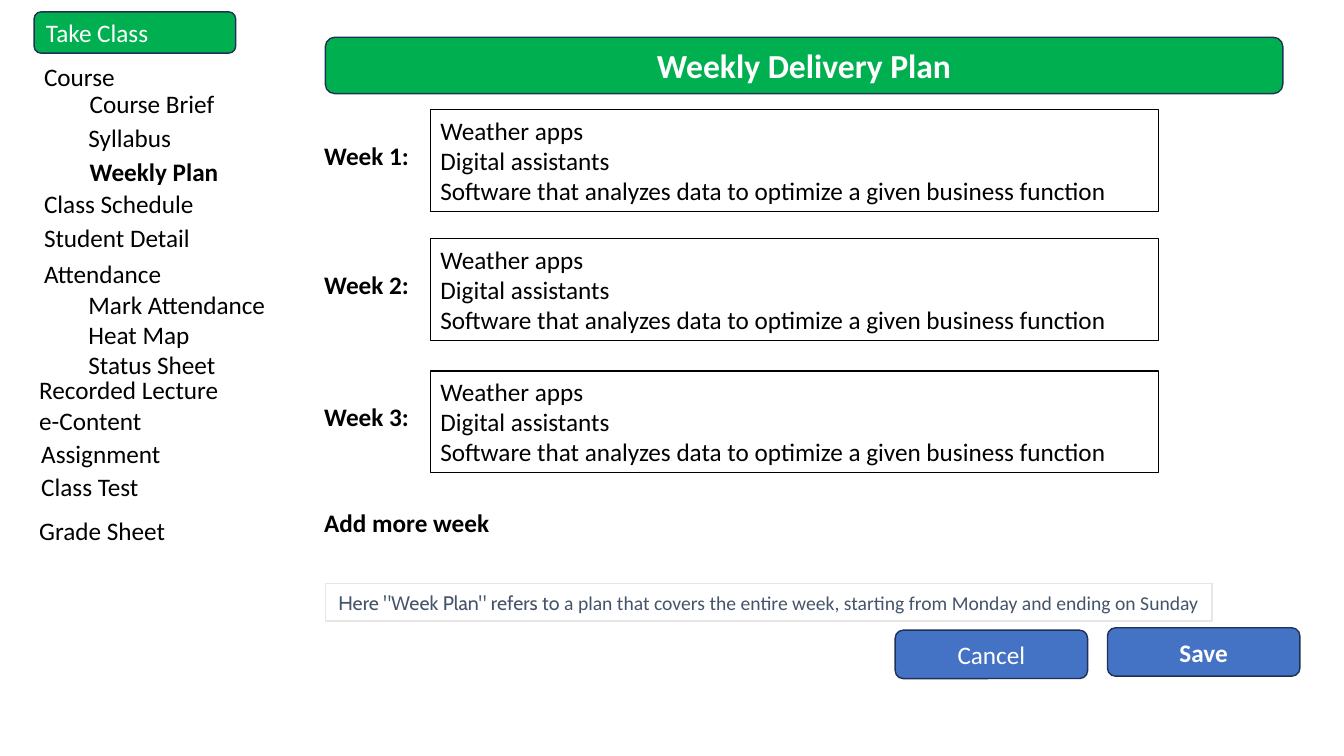
from dataclasses import dataclass

from pptx import Presentation
from pptx.dml.color import RGBColor
from pptx.enum.shapes import MSO_SHAPE
from pptx.enum.text import MSO_ANCHOR, MSO_AUTO_SIZE, PP_ALIGN
from pptx.util import Cm, Pt


@dataclass(frozen=True)
class Theme:
    font: str = "Calibri"
    note_font: str = "Cabin"
    black: str = "000000"
    white: str = "FFFFFF"
    green: str = "00B050"
    blue: str = "4472C4"
    navy: str = "1E3256"
    slate: str = "44546A"
    pale: str = "E7E6E6"
    title_size: int = 24
    body_size: int = 18
    note_size: int = 14


theme = Theme()
deck = Presentation()
deck.slide_width, deck.slide_height = Cm(33.87), Cm(19.05)
page = deck.slides.add_slide(deck.slide_layouts[6])


def write_text(box, text, size=theme.body_size, color=theme.black, bold=False,
               font=theme.font, align=PP_ALIGN.LEFT, anchor=MSO_ANCHOR.TOP, grow=True):
    """Write each line of text as a paragraph."""
    frame = box.text_frame
    frame.word_wrap = True
    frame.vertical_anchor = anchor
    frame.auto_size = MSO_AUTO_SIZE.SHAPE_TO_FIT_TEXT if grow else MSO_AUTO_SIZE.NONE
    frame.text = text
    for para in frame.paragraphs:
        para.alignment = align
        for span in para.runs:
            span.font.name = font
            span.font.size = Pt(size)
            span.font.bold = bold
            span.font.color.rgb = RGBColor.from_string(color)


def add_panel(kind, left, top, width, height, line, line_width=1, fill=None):
    panel = page.shapes.add_shape(kind, Cm(left), Cm(top), Cm(width), Cm(height))
    panel.shadow.inherit = False
    panel.line.color.rgb = RGBColor.from_string(line)
    panel.line.width = Pt(line_width)
    if fill:
        panel.fill.solid()
        panel.fill.fore_color.rgb = RGBColor.from_string(fill)
    else:
        panel.fill.background()
    return panel


# Weekly topics
topics = "\n".join([
    "Weather apps",
    "Digital assistants",
    "Software that analyzes data to optimize a given business function",
])
for week, top in enumerate([2.77, 6.02, 9.35], start=1):
    topic_box = add_panel(MSO_SHAPE.RECTANGLE, 10.85, top, 18.34, 2.57, theme.black, 0.75)
    write_text(topic_box, topics)
    week_label = page.shapes.add_textbox(Cm(7.92), Cm(top + 0.63), Cm(2.92), Cm(1.02))
    write_text(week_label, f"Week {week}:", bold=True)

add_week = page.shapes.add_textbox(Cm(7.92), Cm(12.65), Cm(6.83), Cm(1.02))
write_text(add_week, "Add more week", bold=True)

# Note with two fonts
note = add_panel(MSO_SHAPE.RECTANGLE, 8.2, 14.71, 22.35, 0.94, theme.pale)
write_text(note, 'Here "Week Plan" refers to ', size=theme.note_size, color=theme.slate,
           font=theme.note_font, align=PP_ALIGN.CENTER, anchor=MSO_ANCHOR.MIDDLE, grow=False)
span = note.text_frame.paragraphs[0].add_run()
span.text = "a plan that covers the entire week, starting from Monday and ending on Sunday"
span.font.name = theme.font
span.font.size = Pt(theme.note_size)
span.font.color.rgb = RGBColor.from_string(theme.slate)

# Title, menu heading and buttons
center, left_align = PP_ALIGN.CENTER, PP_ALIGN.LEFT
buttons = [
    ("Save", 27.91, 15.82, 4.85, 1.22, theme.blue, theme.body_size, True, center),
    ("Cancel", 22.56, 15.88, 4.85, 1.22, theme.blue, theme.body_size, False, center),
    ("Weekly Delivery Plan", 8.2, 0.94, 24.13, 1.42, theme.green, theme.title_size, True, center),
    ("Take Class", 0.86, 0.3, 5.08, 1.04, theme.green, theme.body_size, False, left_align),
]
for text, left, top, width, height, fill, size, bold, align in buttons:
    button = add_panel(MSO_SHAPE.ROUNDED_RECTANGLE, left, top, width, height, theme.navy, fill=fill)
    write_text(button, text, size=size, color=theme.white, bold=bold, align=align,
               anchor=MSO_ANCHOR.MIDDLE, grow=False)

# Side menu
menu = [
    ("Course", 0.86, 1.42),
    ("Course Brief", 2.01, 2.11),
    ("Syllabus", 1.98, 2.95),
    ("Weekly Plan", 2.01, 3.81),
    ("Class Schedule", 0.86, 4.62),
    ("Student Detail", 0.86, 5.49),
    ("Attendance", 0.86, 6.38),
    ("Mark Attendance\nHeat Map\nStatus Sheet", 1.98, 7.16),
    ("Recorded Lecture", 0.74, 9.32),
    ("e-Content", 0.74, 10.08),
    ("Assignment", 0.79, 10.92),
    ("Class Test", 0.79, 11.76),
    ("Grade Sheet", 0.74, 12.85),
]
for text, left, top in menu:
    height = 1.02 if "\n" not in text else 2.57
    entry = page.shapes.add_textbox(Cm(left), Cm(top), Cm(5.2), Cm(height))
    write_text(entry, text, bold=text == "Weekly Plan")

deck.save("out.pptx")
